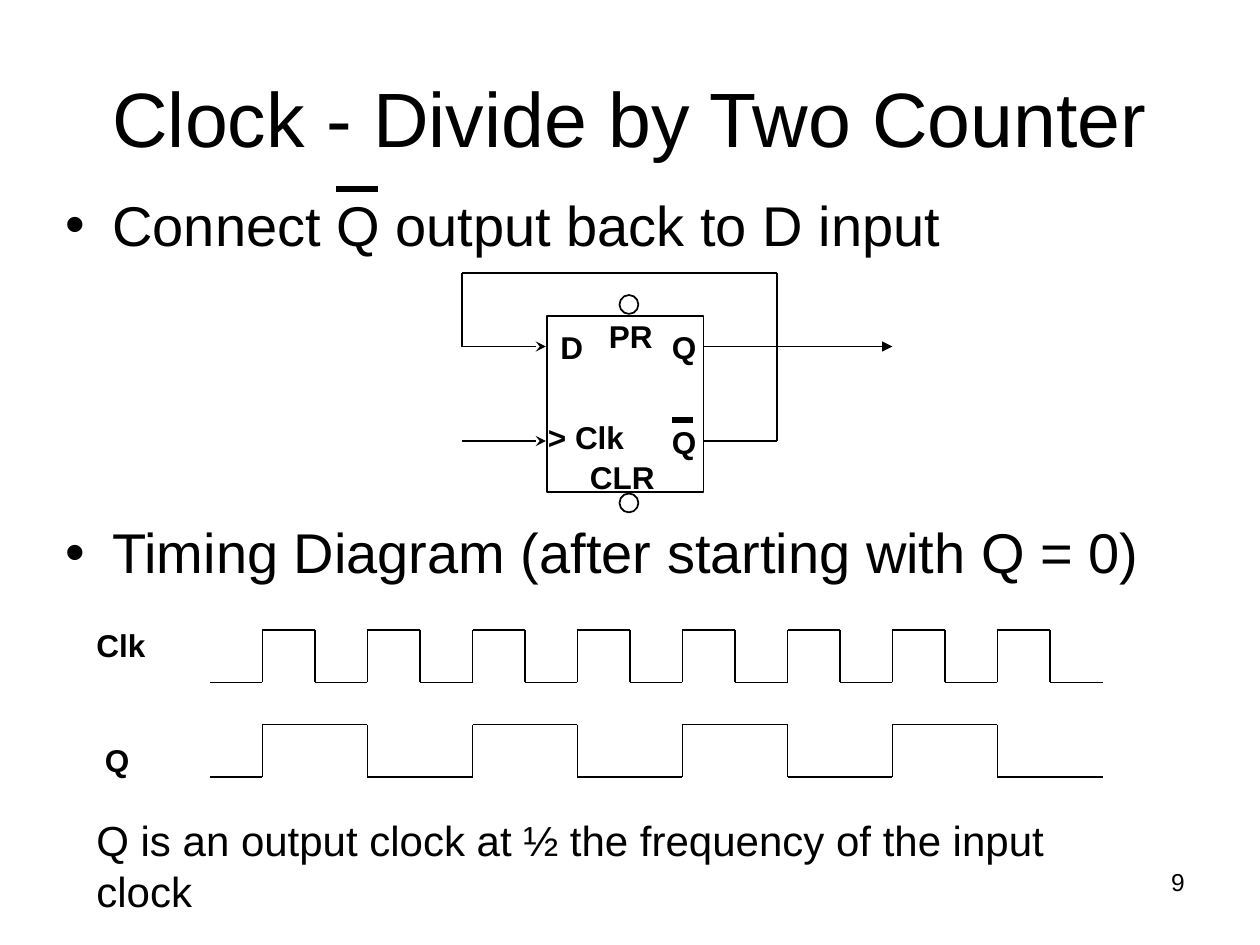
from itertools import groupby, pairwise

from lxml.etree import SubElement
from pptx import Presentation
from pptx.dml.color import RGBColor
from pptx.enum.shapes import MSO_CONNECTOR, MSO_SHAPE
from pptx.enum.text import MSO_ANCHOR, MSO_AUTO_SIZE, PP_ALIGN
from pptx.oxml.ns import qn
from pptx.util import Pt

PX = 7620  # 120 px to the inch
BLACK = RGBColor(0, 0, 0)
WHITE = RGBColor(255, 255, 255)
FONT = "Arial"

# Content
TITLE = "Clock - Divide by Two Counter"
BULLETS = [  # text, space before in points
    ("Connect Q output back to D input", 0),
    ("Timing Diagram (after starting with Q = 0)", 149),
]
LABELS = [  # text, left, top, width, height, format
    ("D", 522, 307, 46, 48, {}),
    ("> Clk", 510, 392, 97, 48, {}),
    ("Q", 628, 307, 48, 48, {}),
    ("Q", 628, 397, 48, 48, {}),
    ("PR", 568, 296, 66, 48, {}),
    ("CLR", 550, 430, 112, 48, {}),
    ("Clk", 80, 590, 71, 48, {}),
    ("Q", 88, 700, 48, 48, {}),
    ("Q is an output clock at ½ the frequency of the input clock",
     80, 770, 1028, 60, {"size": 24, "bold": False}),
    ("9", 860, 820, 280, 62,
     {"size": 14, "bold": False, "align": PP_ALIGN.RIGHT, "wrap": True}),
]
FLIP_FLOP = (521, 301, 149, 168)
BUBBLES = [(590, 281, 18, 18), (590, 470, 18, 18)]
WIRES = [  # points, line width in points, arrowhead
    ([(320, 180), (360, 180)], 3, None),
    ([(640, 400), (660, 400)], 3, None),
    ([(440, 330), (520, 330)], 1, "stealth"),
    ([(440, 420), (520, 420)], 1, "stealth"),
    ([(670, 420), (740, 420)], 1, None),
    ([(740, 420), (740, 260), (440, 260), (440, 330)], 0.75, None),
    ([(670, 330), (850, 330)], 0.75, "triangle"),
]
WAVES = [  # level in each half period, y when high
    ("0" + "10" * 8, 600),
    ("0" + "1100" * 4, 690),
]
WAVE_LEFT, HALF_PERIOD, WAVE_HEIGHT = 200, 50, 50


def place(shape, left, top, width, height):
    shape.left, shape.top = left * PX, top * PX
    shape.width, shape.height = width * PX, height * PX


def write(paragraph, text, size=18, bold=False, align=PP_ALIGN.LEFT, before=0):
    run = paragraph.add_run()
    run.text = text
    run.font.name, run.font.size, run.font.bold = FONT, Pt(size), bold
    run.font.color.rgb = BLACK
    paragraph.alignment = align
    paragraph.space_before = Pt(before)


def add_label(slide, text, left, top, width, height, wrap=False, **text_format):
    box = slide.shapes.add_textbox(*(n * PX for n in (left, top, width, height)))
    box.text_frame.word_wrap = wrap
    write(box.text_frame.paragraphs[0], text, **{"bold": True, **text_format})


def add_outline(slide, kind, bounds):
    shape = slide.shapes.add_shape(kind, *(n * PX for n in bounds))
    shape.shadow.inherit = False
    shape.fill.solid()
    shape.fill.fore_color.rgb = WHITE
    shape.line.color.rgb = BLACK
    shape.line.width = Pt(1)


def add_path(slide, points, width=0.75, arrow=None):
    for start, end in pairwise(points):
        connector = slide.shapes.add_connector(
            MSO_CONNECTOR.STRAIGHT, *(n * PX for n in start + end))
        connector.line.color.rgb = BLACK
        connector.line.width = Pt(width)
        if arrow:
            SubElement(connector.line._get_or_add_ln(), qn("a:tailEnd"), type=arrow)
        SubElement(connector._element.spPr, qn("a:effectLst"))


def wave_points(levels, high):
    points, x = [], WAVE_LEFT
    for level, steps in groupby(levels):
        y = high if level == "1" else high + WAVE_HEIGHT
        end = x + HALF_PERIOD * len(list(steps))
        points += [(x, y), (end, y)]
        x = end
    return points


def main():
    presentation = Presentation()
    presentation.slide_width, presentation.slide_height = 1200 * PX, 900 * PX
    slide = presentation.slides.add_slide(presentation.slide_layouts[1])

    # Title and bullets
    title, body = slide.placeholders
    place(title, 60, 36, 1080, 150)
    place(body, 50, 170, 1080, 594)
    for placeholder in (title, body):
        placeholder.text_frame.auto_size = MSO_AUTO_SIZE.NONE
    title.text_frame.vertical_anchor = MSO_ANCHOR.MIDDLE
    write(title.text_frame.paragraphs[0], TITLE, size=44, align=PP_ALIGN.CENTER)
    frame = body.text_frame
    frame.margin_top = 11 * PX
    for index, (text, before) in enumerate(BULLETS):
        paragraph = frame.add_paragraph() if index else frame.paragraphs[0]
        write(paragraph, text, size=32, before=before)

    # Flip-flop with its preset and clear bubbles
    add_outline(slide, MSO_SHAPE.RECTANGLE, FLIP_FLOP)
    for bounds in BUBBLES:
        add_outline(slide, MSO_SHAPE.OVAL, bounds)

    # Wires, overbars and timing diagram
    for points, width, arrow in WIRES:
        add_path(slide, points, width, arrow)
    for levels, high in WAVES:
        add_path(slide, wave_points(levels, high))

    # Labels, conclusion and page number
    for text, left, top, width, height, text_format in LABELS:
        add_label(slide, text, left, top, width, height, **text_format)

    presentation.save("out.pptx")


if __name__ == "__main__":
    main()
